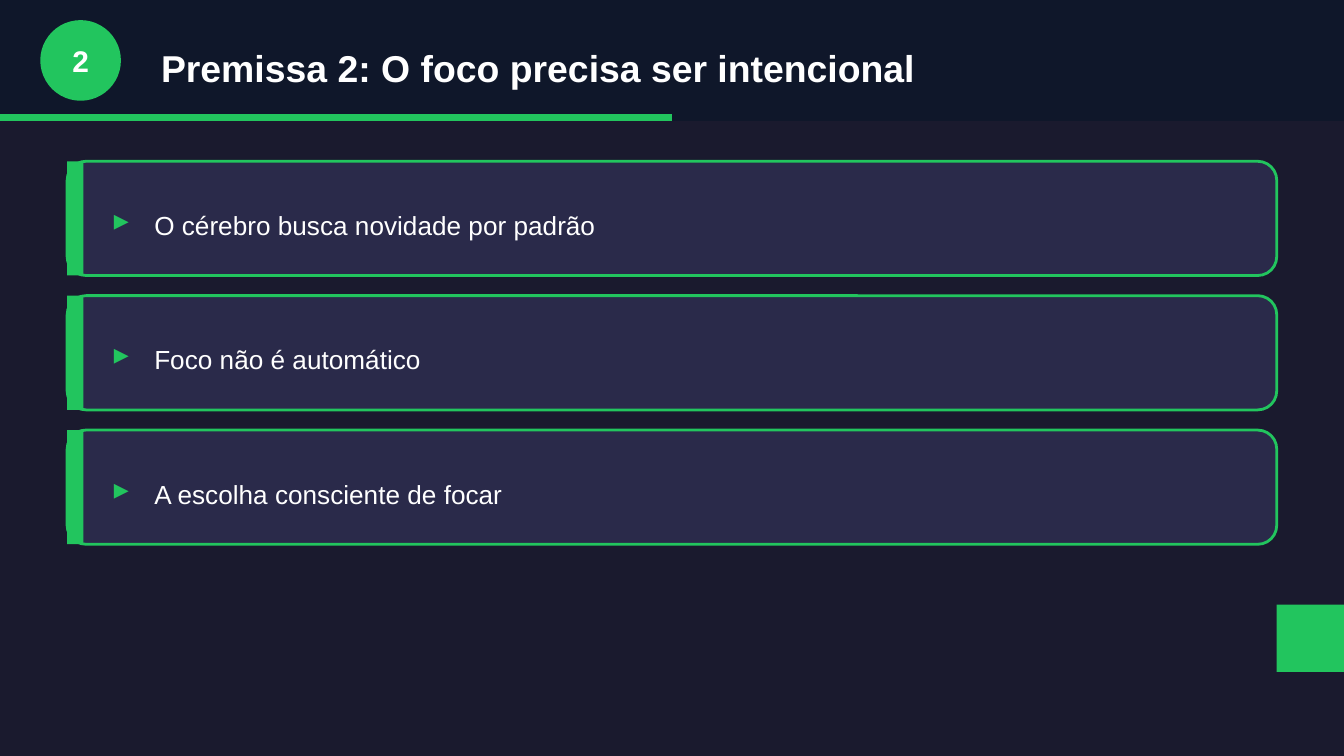
from pptx import Presentation
from pptx.dml.color import RGBColor
from pptx.enum.shapes import MSO_SHAPE
from pptx.enum.text import MSO_ANCHOR, PP_ALIGN
from pptx.util import Inches, Pt

BACKGROUND, HEADER, CARD = "1A1A2E", "0F172A", "2A2A4A"
GREEN, WHITE = "22C55E", "FFFFFF"
PREMISES = [
    "O cérebro busca novidade por padrão",
    "Foco não é automático",
    "A escolha consciente de focar",
]


def color(hex_code):
    return RGBColor.from_string(hex_code)


class PremisePage:
    """Draws on one slide; lengths are columns and rows of a 0.1 inch grid."""

    cell = Inches(0.1)
    font = "Arial"

    def __init__(self, deck):
        self.page = deck.slides.add_slide(deck.slide_layouts[6])
        self.page.background.fill.solid()
        self.page.background.fill.fore_color.rgb = color(BACKGROUND)

    def place(self, *cells):
        return [round(count * self.cell) for count in cells]

    def shape(self, kind, column, row, columns, rows, fill, outline=None):
        shape = self.page.shapes.add_shape(
            kind, *self.place(column, row, columns, rows))
        shape.shadow.inherit = False
        shape.fill.solid()
        shape.fill.fore_color.rgb = color(fill)
        if outline:
            shape.line.color.rgb = color(outline)
            shape.line.width = Pt(1.5)
        else:
            shape.line.fill.background()

    def text(self, words, column, row, columns, rows, size,
             ink=WHITE, bold=False, align=PP_ALIGN.LEFT):
        box = self.page.shapes.add_textbox(
            *self.place(column, row, columns, rows))
        frame = box.text_frame
        frame.word_wrap = True
        frame.vertical_anchor = MSO_ANCHOR.MIDDLE
        para = frame.paragraphs[0]
        para.alignment = align
        span = para.add_run()
        span.text = words
        span.font.name = self.font
        span.font.size = Pt(size)
        span.font.bold = bold
        span.font.color.rgb = color(ink)

    def header(self, number, title):
        self.shape(MSO_SHAPE.RECTANGLE, 0, 0, 100, 9, HEADER)
        self.shape(MSO_SHAPE.RECTANGLE, 0, 8.5, 50, 0.5, GREEN)
        self.shape(MSO_SHAPE.OVAL, 3, 1.5, 6, 6, GREEN)
        self.text(number, 3, 2.5, 6, 4, 16, bold=True, align=PP_ALIGN.CENTER)
        self.text(title, 11, 2.5, 85, 5, 20, bold=True)

    def card(self, words, row):
        self.shape(MSO_SHAPE.ROUNDED_RECTANGLE, 5, row, 90, 8.5, CARD, GREEN)
        self.shape(MSO_SHAPE.RECTANGLE, 5, row, 1.2, 8.5, GREEN)
        self.text("▸", 7.5, row + 2.5, 3, 3.5, 16, GREEN, bold=True)
        self.text(words, 10.5, row + 2.5, 82, 4.5, 14)


def main():
    deck = Presentation()
    deck.slide_width = Inches(10)
    deck.slide_height = deck.slide_width * 9 // 16
    page = PremisePage(deck)
    page.header("2", "Premissa 2: O foco precisa ser intencional")
    for index, premise in enumerate(PREMISES):
        page.card(premise, 12 + 10 * index)
    page.shape(MSO_SHAPE.RECTANGLE, 95, 45, 5, 5, GREEN)
    deck.save("out.pptx")


if __name__ == "__main__":
    main()
